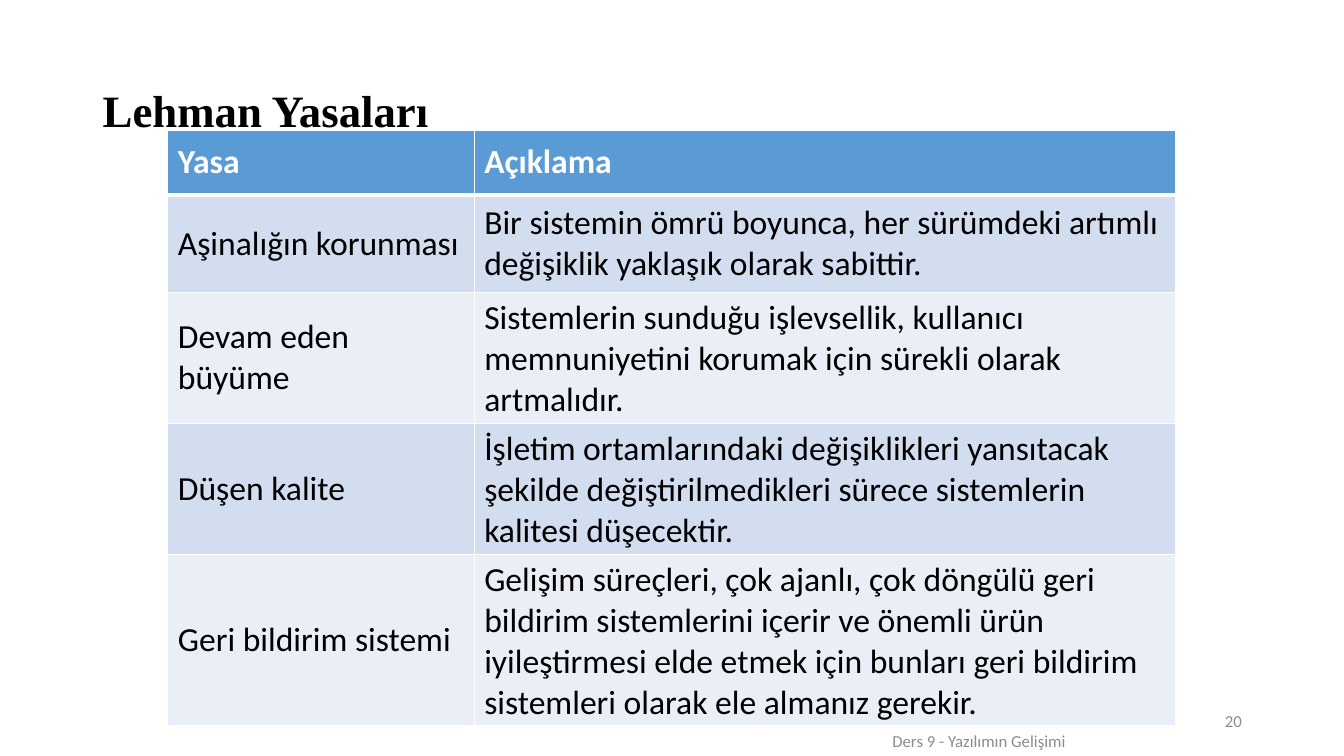
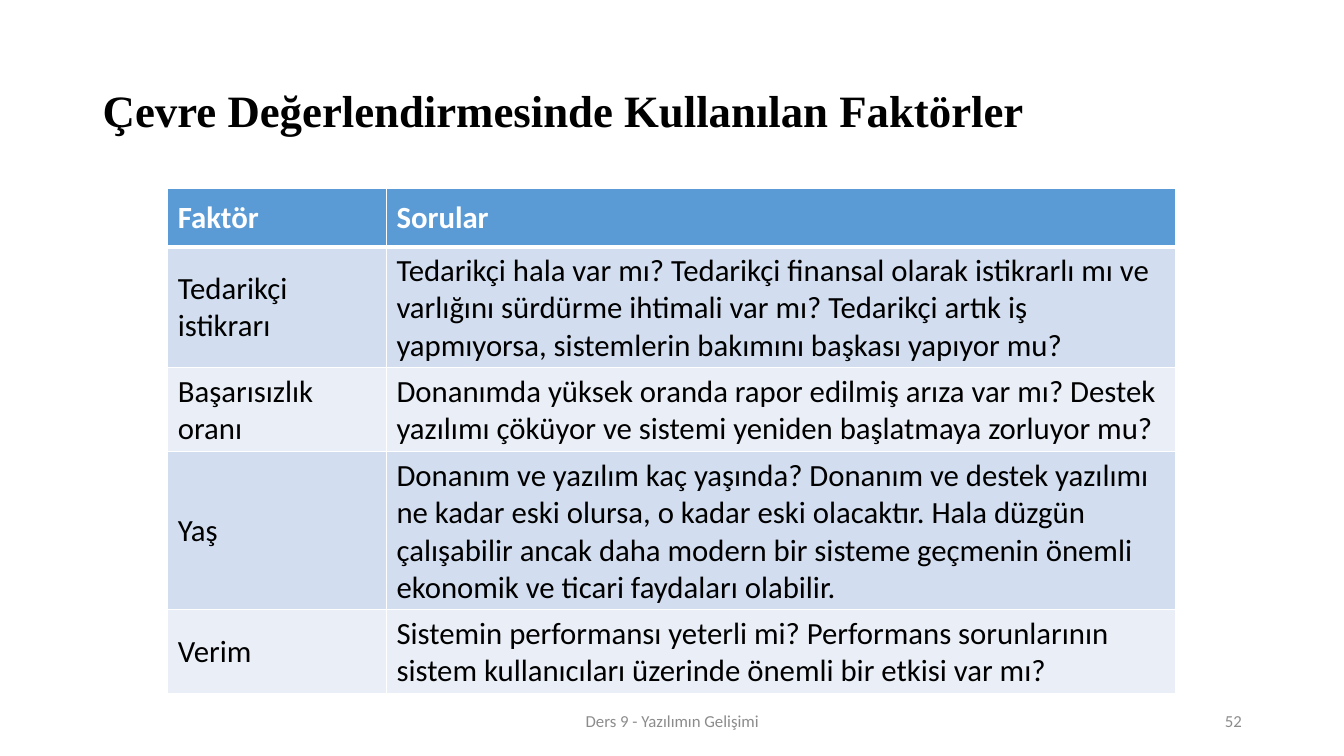
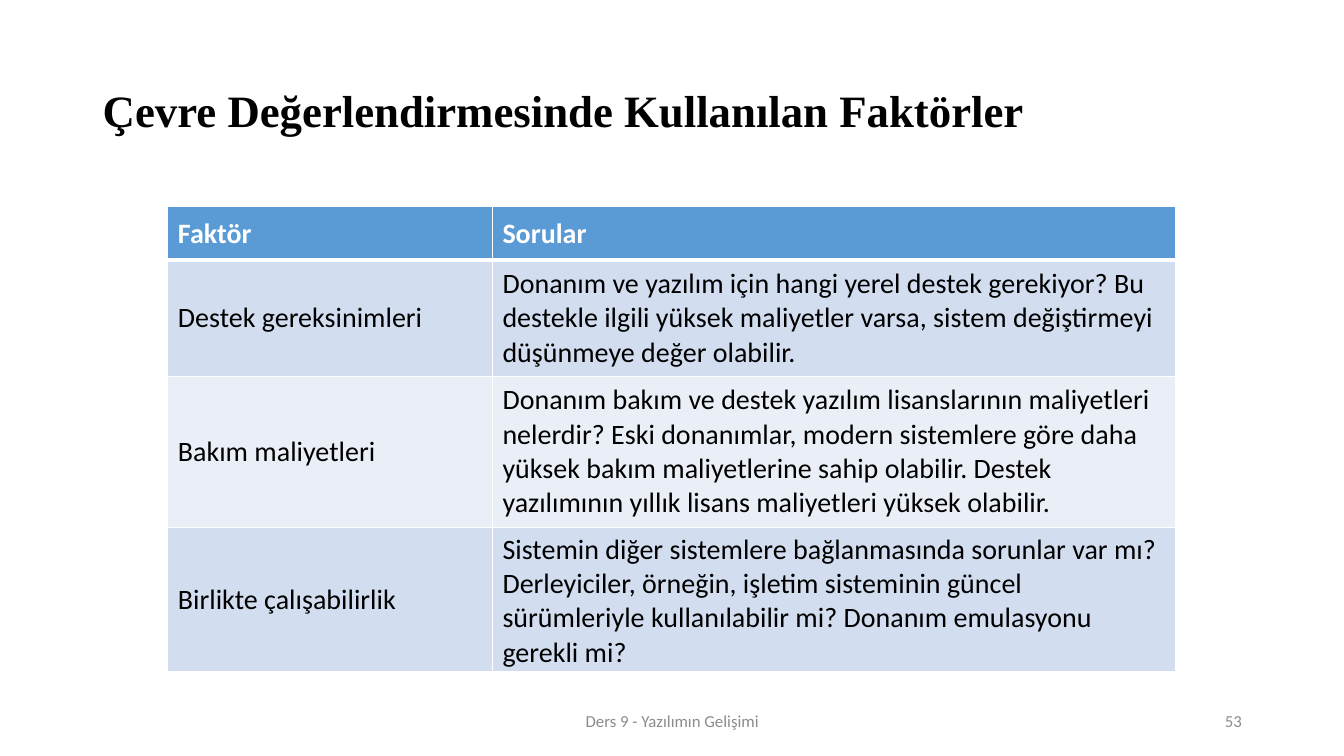
import pptx
import pptx.dml.color
import pptx.enum.text
import pptx.oxml
import pptx.util
from pptx.oxml.ns import nsdecls

Cm = pptx.util.Cm
RGBColor = pptx.dml.color.RGBColor
ALIGN = pptx.enum.text.PP_ALIGN
MIDDLE = pptx.enum.text.MSO_ANCHOR.MIDDLE

BLACK = RGBColor(0x00, 0x00, 0x00)
WHITE = RGBColor(0xFF, 0xFF, 0xFF)
GREY = RGBColor(0x8C, 0x8C, 0x8C)
HEADER_BLUE = RGBColor(0x5B, 0x9B, 0xD5)
BAND_COLORS = (RGBColor(0xD2, 0xDE, 0xEF), RGBColor(0xEA, 0xEF, 0xF7))

TITLE_FONT = "Times New Roman"
BODY_FONT = "Calibri"
FOOTER = "Ders 9 - Yazılımın Gelişimi"

TITLE_BOX = (2.34, 1.02, 29.21, 3.68)
NUMBER_BOX = (23.93, 17.65, 7.62, 1.01)
FOOTER_BOX = (11.23, 17.65, 11.43, 1.01)
SHIFTED_FOOTER_BOX = (20.65, 18.16, 8.05, 1.01)
TABLE_LEFT = 4.23
TABLE_WIDTH = 25.4

SLIDES = [
    {
        "title": "Lehman Yasaları",
        "number": "20",
        "footer_box": SHIFTED_FOOTER_BOX,
        "top": 3.28,
        "first_column": 7.72,
        "row_heights": (1.63, 2.46, 2.46, 2.46, 3.56),
        "size": 24,
        "rows": [
            ("Yasa", "Açıklama"),
            ("Aşinalığın korunması",
             "Bir sistemin ömrü boyunca, her sürümdeki artımlı değişiklik yaklaşık olarak sabittir."),
            ("Devam eden büyüme",
             "Sistemlerin sunduğu işlevsellik, kullanıcı memnuniyetini korumak için sürekli olarak "
             "artmalıdır."),
            ("Düşen kalite",
             "İşletim ortamlarındaki değişiklikleri yansıtacak şekilde değiştirilmedikleri sürece "
             "sistemlerin kalitesi düşecektir."),
            ("Geri bildirim sistemi",
             "Gelişim süreçleri, çok ajanlı, çok döngülü geri bildirim sistemlerini içerir ve önemli "
             "ürün iyileştirmesi elde etmek için bunları geri bildirim sistemleri olarak ele almanız "
             "gerekir."),
        ],
    },
    {
        "title": "Çevre Değerlendirmesinde Kullanılan Faktörler",
        "number": "52",
        "footer_box": FOOTER_BOX,
        "top": 4.75,
        "first_column": 5.51,
        "row_heights": (1.47, 3.02, 2.11, 3.94, 2.11),
        "size": 22,
        "rows": [
            ("Faktör", "Sorular"),
            ("Tedarikçi istikrarı",
             "Tedarikçi hala var mı? Tedarikçi finansal olarak istikrarlı mı ve varlığını sürdürme "
             "ihtimali var mı? Tedarikçi artık iş yapmıyorsa, sistemlerin bakımını başkası yapıyor mu?"),
            ("Başarısızlık oranı",
             "Donanımda yüksek oranda rapor edilmiş arıza var mı? Destek yazılımı çöküyor ve sistemi "
             "yeniden başlatmaya zorluyor mu?"),
            ("Yaş",
             "Donanım ve yazılım kaç yaşında? Donanım ve destek yazılımı ne kadar eski olursa, o kadar "
             "eski olacaktır. Hala düzgün çalışabilir ancak daha modern bir sisteme geçmenin önemli "
             "ekonomik ve ticari faydaları olabilir."),
            ("Verim",
             "Sistemin performansı yeterli mi? Performans sorunlarının sistem kullanıcıları üzerinde "
             "önemli bir etkisi var mı?"),
        ],
    },
    {
        "title": "Çevre Değerlendirmesinde Kullanılan Faktörler",
        "number": "53",
        "footer_box": FOOTER_BOX,
        "top": 5.21,
        "first_column": 8.18,
        "row_heights": (1.35, 2.92, 3.81, 2.92),
        "size": 20,
        "rows": [
            ("Faktör", "Sorular"),
            ("Destek gereksinimleri",
             "Donanım ve yazılım için hangi yerel destek gerekiyor? Bu destekle ilgili yüksek "
             "maliyetler varsa, sistem değiştirmeyi düşünmeye değer olabilir."),
            ("Bakım maliyetleri",
             "Donanım bakım ve destek yazılım lisanslarının maliyetleri nelerdir? Eski donanımlar, "
             "modern sistemlere göre daha yüksek bakım maliyetlerine sahip olabilir. Destek "
             "yazılımının yıllık lisans maliyetleri yüksek olabilir."),
            ("Birlikte çalışabilirlik",
             "Sistemin diğer sistemlere bağlanmasında sorunlar var mı? Derleyiciler, örneğin, işletim "
             "sisteminin güncel sürümleriyle kullanılabilir mi? Donanım emulasyonu gerekli mi?"),
        ],
    },
]


def write_text(frame, text, *, size, color, font=BODY_FONT, bold=False,
               align=ALIGN.LEFT, line_spacing=1.0):
    frame.word_wrap = True
    paragraph = frame.paragraphs[0]
    paragraph.alignment = align
    paragraph.line_spacing = line_spacing
    run = paragraph.add_run()
    run.text = text
    run.font.name = font
    run.font.size = pptx.util.Pt(size)
    run.font.bold = bold
    run.font.color.rgb = color


def add_text_box(slide, box, text, **text_format):
    frame = slide.shapes.add_textbox(*map(Cm, box)).text_frame
    frame.vertical_anchor = MIDDLE
    write_text(frame, text, **text_format)


def set_borders(cell, bottom_width):
    properties = cell._tc.get_or_add_tcPr()
    widths = {"lnL": 1, "lnR": 1, "lnT": 1, "lnB": bottom_width}
    for position, (side, width) in enumerate(widths.items()):
        line = pptx.oxml.parse_xml(
            f'<a:{side} {nsdecls("a")} w="{pptx.util.Pt(width)}">'
            f'<a:solidFill><a:srgbClr val="{WHITE}"/></a:solidFill></a:{side}>')
        properties.insert(position, line)


def add_table(slide, content):
    rows, heights = content["rows"], content["row_heights"]
    table = slide.shapes.add_table(
        len(rows), 2, Cm(TABLE_LEFT), Cm(content["top"]),
        Cm(TABLE_WIDTH), Cm(sum(heights))).table
    table.columns[0].width = Cm(content["first_column"])
    table.columns[1].width = Cm(TABLE_WIDTH - content["first_column"])
    for row_index, (texts, height) in enumerate(zip(rows, heights)):
        table.rows[row_index].height = Cm(height)
        is_header = row_index == 0
        for column_index, text in enumerate(texts):
            cell = table.cell(row_index, column_index)
            cell.vertical_anchor = MIDDLE
            cell.fill.solid()
            cell.fill.fore_color.rgb = HEADER_BLUE if is_header else BAND_COLORS[(row_index - 1) % 2]
            set_borders(cell, 3 if is_header else 1)
            write_text(cell.text_frame, text, size=content["size"], bold=is_header,
                       color=WHITE if is_header else BLACK)


def add_slide(presentation, content):
    slide = presentation.slides.add_slide(presentation.slide_layouts[6])
    add_text_box(slide, TITLE_BOX, content["title"], size=32, color=BLACK,
                 font=TITLE_FONT, bold=True, line_spacing=0.9)
    add_table(slide, content)
    add_text_box(slide, NUMBER_BOX, content["number"], size=12, color=GREY, align=ALIGN.RIGHT)
    add_text_box(slide, content["footer_box"], FOOTER, size=12, color=GREY, align=ALIGN.CENTER)


def main():
    presentation = pptx.Presentation()
    presentation.slide_width = Cm(33.87)
    presentation.slide_height = Cm(19.05)
    for content in SLIDES:
        add_slide(presentation, content)
    presentation.save("out.pptx")


if __name__ == "__main__":
    main()
